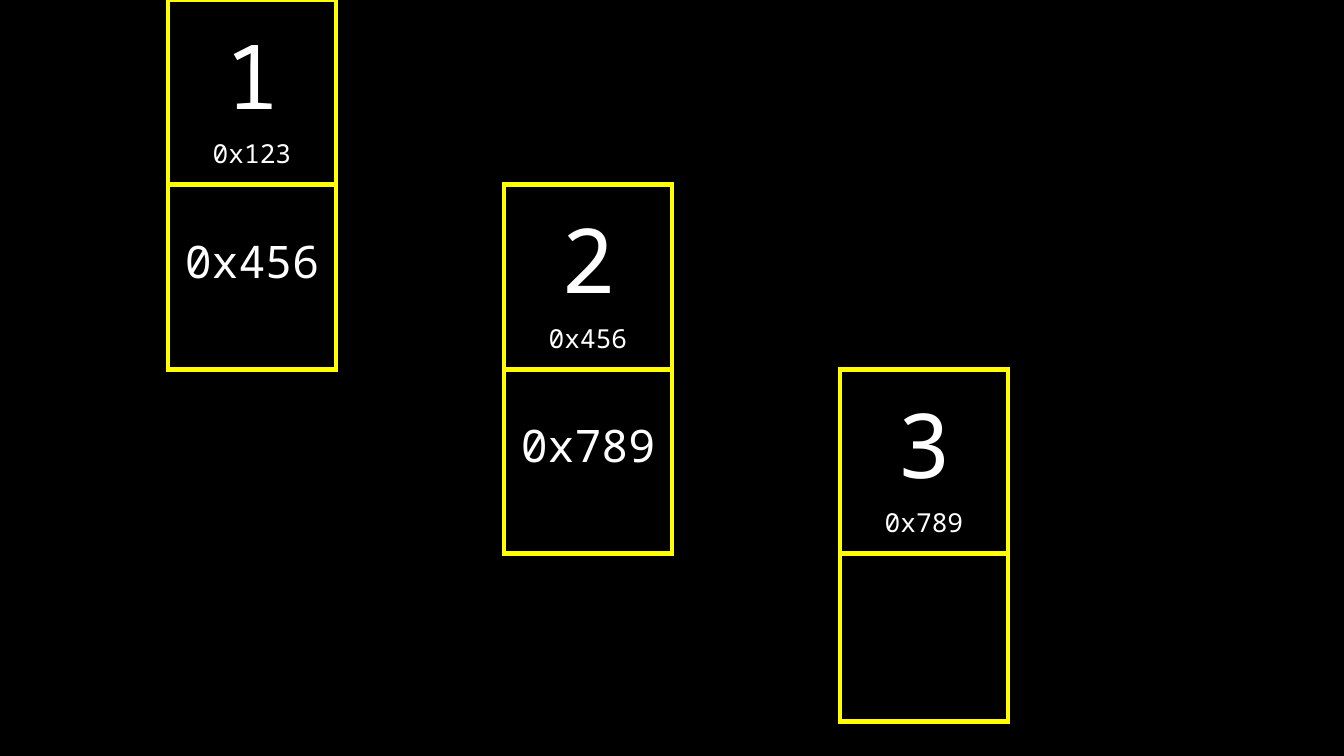
from dataclasses import dataclass

from lxml import etree
from pptx import Presentation
from pptx.dml.color import RGBColor
from pptx.enum.text import MSO_ANCHOR, PP_ALIGN
from pptx.oxml.ns import qn
from pptx.util import Inches, Pt

CENTER = PP_ALIGN.CENTER
MIDDLE = MSO_ANCHOR.MIDDLE
BOTTOM = MSO_ANCHOR.BOTTOM
NO_GRID = "{2D5ABB26-0587-4C30-8999-92F81FD0307C}"
SIDES = {"L": (0, -1), "R": (0, 1), "T": (-1, 0), "B": (1, 0)}


@dataclass(frozen=True)
class Theme:
    font: str = "Noto Sans Mono"
    back: str = "000000"
    text: str = "FFFFFF"
    edge: str = "FFFF00"
    value: int = 48
    link: int = 24
    label: int = 14
    line: int = 3


def write(frame, lines, font, color, align=CENTER):
    for i, (text, size) in enumerate(lines):
        para = frame.add_paragraph() if i else frame.paragraphs[0]
        para.alignment = align
        run = para.add_run()
        run.text = text
        run.font.name = font
        run.font.size = Pt(size)
        run.font.color.rgb = RGBColor.from_string(color)


class Canvas:
    def __init__(self, slide, theme):
        self.slide = slide
        self.theme = theme
        fill = slide.background.fill
        fill.solid()
        fill.fore_color.rgb = RGBColor.from_string(theme.back)

    def grid(self, rows, cols, size):
        frame = self.slide.shapes.add_table(
            rows, cols, 0, 0, Inches(cols * size), Inches(rows * size)
        )
        table = frame.table
        table.first_row = False
        table.horz_banding = False
        table._tbl.tblPr.find(qn("a:tableStyleId")).text = NO_GRID
        return table

    def edge(self, cell, side, shown):
        props = cell._tc.get_or_add_tcPr()
        line = etree.SubElement(
            props, qn(f"a:ln{side}"), w=str(Pt(self.theme.line))
        )
        if shown:
            fill = etree.SubElement(line, qn("a:solidFill"))
            etree.SubElement(fill, qn("a:srgbClr"), val=self.theme.edge)
        else:
            etree.SubElement(line, qn("a:noFill"))

    def frame(self, table, boxes):
        for row in range(len(table.rows)):
            for col in range(len(table.columns)):
                cell = table.cell(row, col)
                for side, (down, right) in SIDES.items():
                    pair = {(row, col), (row + down, col + right)}
                    self.edge(cell, side, bool(boxes & pair))
                cell.fill.background()

    def fill(self, cell, lines, anchor, foot=0.1):
        cell.vertical_anchor = anchor
        cell.margin_left = cell.margin_right = cell.margin_top = Inches(0.1)
        cell.margin_bottom = Inches(foot)
        write(cell.text_frame, lines, self.theme.font, self.theme.text)

    def node(self, table, row, col, value, label, link):
        theme = self.theme
        lines = [(value, theme.value), (label, theme.label)]
        self.fill(table.cell(row, col), lines, MIDDLE)
        if link:
            lines = [(link, theme.link)]
            self.fill(table.cell(row + 1, col), lines, BOTTOM, foot=0.58)


def main():
    deck = Presentation()
    deck.slide_width = Inches(10)
    deck.slide_height = deck.slide_width * 9 // 16
    canvas = Canvas(deck.slides.add_slide(deck.slide_layouts[6]), Theme())

    nodes = [("1", "0x123"), ("2", "0x456"), ("3", "0x789")]
    links = [label for _, label in nodes[1:]] + [""]
    table = canvas.grid(5, 8, 1.25)
    boxes = set()
    for row, ((value, label), link) in enumerate(zip(nodes, links)):
        col = 1 + 2 * row
        boxes |= {(row, col), (row + 1, col)}
        canvas.node(table, row, col, value, label, link)
    canvas.frame(table, boxes)

    deck.save("out.pptx")


if __name__ == "__main__":
    main()
